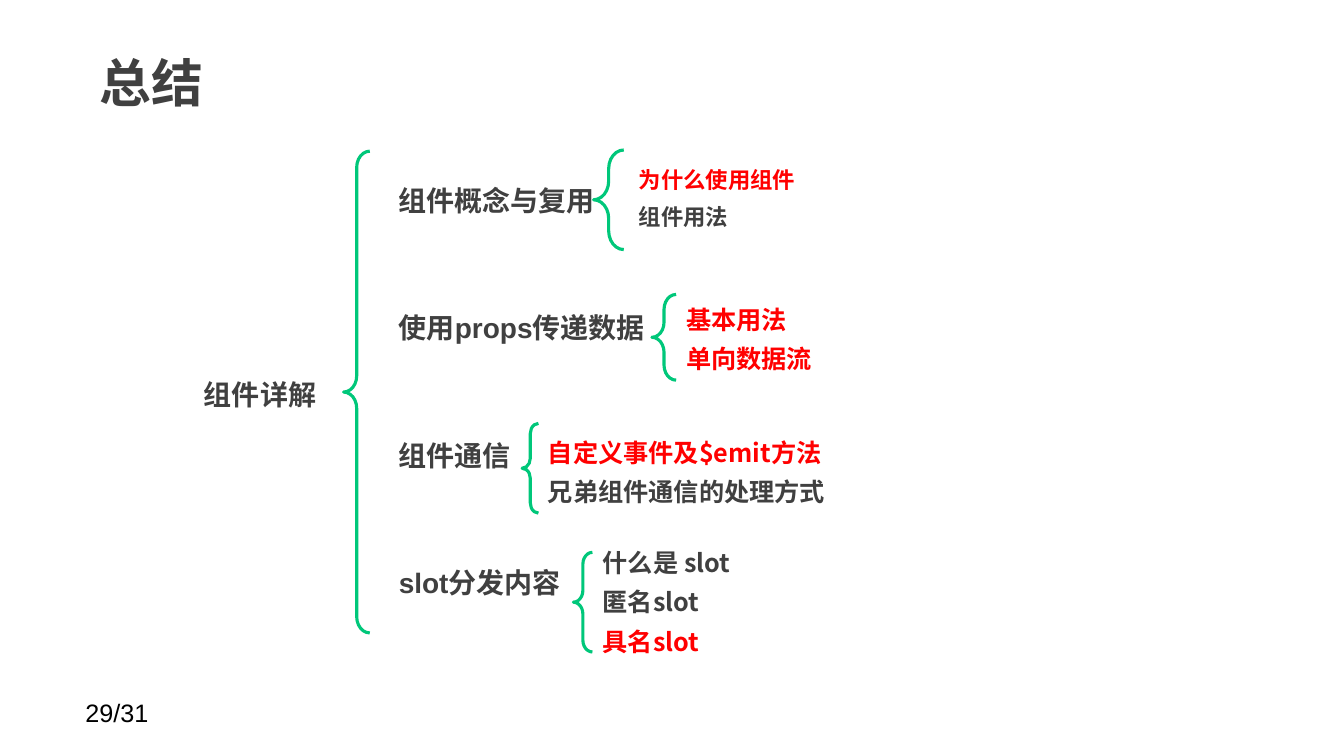
from lxml import etree
from pptx import Presentation
from pptx.dml.color import RGBColor
from pptx.enum import shapes, text
from pptx.oxml import ns
from pptx.util import Cm, Pt

COLOURS = {"grey": "404040", "red": "FF0000", "green": "00C77A", "black": "000000"}
CJK = "Noto Sans CJK SC"

TOPICS = ["组件概念与复用", "使用props传递数据", "组件通信", "slot分发内容"]
BRANCHES = [
    {"brace": (14.96, 3.78, 0.76, 2.51), "box": (15.85, 3.78, 9.25, 2.16),
     "points": [("为什么使用组件", "red"), ("组件用法", "grey")],
     "style": {"size": 16, "font": "Arial", "spacing": 1.4}},
    {"brace": (16.43, 7.42, 0.61, 2.16), "box": (17.04, 7.32, 8.71, 2.26),
     "points": [("基本用法", "red"), ("单向数据流", "red")]},
    {"brace": (13.16, 10.67, 0.41, 2.26), "box": (13.56, 10.67, 10.39, 2.26),
     "points": [("自定义事件及$emit方法", "red"), ("兄弟组件通信的处理方式", "grey")]},
    {"brace": (14.45, 13.92, 0.48, 2.51), "box": (14.94, 13.44, 10.39, 3.25),
     "points": [("什么是 slot", "grey"), ("匿名slot", "grey"), ("具名slot", "red")]},
]


def write(paragraph, words, size=18, font=CJK, colour="grey", bold=True,
          align=text.PP_ALIGN.LEFT, spacing=None, before=0):
    """Write formatted words into a paragraph."""
    paragraph.alignment = align
    paragraph.space_before = Pt(before)
    if spacing:
        paragraph.line_spacing = spacing
    run = paragraph.add_run()
    run.text = words
    run.font.size = Pt(size)
    run.font.bold = bold
    run.font.color.rgb = RGBColor.from_string(COLOURS[colour])
    run.font.name = font
    etree.SubElement(run._r.get_or_add_rPr(), ns.qn("a:ea")).set("typeface", CJK)


def add_lines(slide, box, lines, gap=0, **style):
    """Add a text box holding (words, colour) lines with a gap between them."""
    frame = slide.shapes.add_textbox(*map(Cm, box)).text_frame
    frame.word_wrap = True
    for index, (words, colour) in enumerate(lines):
        paragraph = frame.add_paragraph() if index else frame.paragraphs[0]
        write(paragraph, words, colour=colour, before=gap if index else 0, **style)


def add_brace(slide, box):
    """Add a green left brace filling the box."""
    brace = slide.shapes.add_shape(shapes.MSO_SHAPE.LEFT_BRACE, *map(Cm, box))
    brace.adjustments[0] = 0.62
    brace.adjustments[1] = 0.5
    brace.shadow.inherit = False
    brace.fill.background()
    brace.line.color.rgb = RGBColor.from_string(COLOURS["green"])
    brace.line.width = Pt(2.25)


def add_heading(slide, box, words):
    """Place and format the title placeholder."""
    title = slide.shapes.title
    title.left, title.top, title.width, title.height = map(Cm, box)
    frame = title.text_frame
    frame.vertical_anchor = text.MSO_ANCHOR.MIDDLE
    frame.margin_left = frame.margin_right = Cm(0.33)
    frame.margin_top = frame.margin_bottom = Cm(0.15)
    write(frame.paragraphs[0], words, size=37)


def add_trunk(slide):
    """Add the root subject, its brace and the four topics."""
    add_lines(slide, (4.27, 9.4, 4.57, 1.12), [("组件详解", "grey")],
              size=20, font="Arial", align=text.PP_ALIGN.CENTER)
    add_brace(slide, (8.66, 3.81, 0.66, 12.14))
    add_lines(slide, (9.8, 4.5, 17.73, 12.22), [(topic, "grey") for topic in TOPICS],
              gap=67, size=20, font="Arial")


def add_branch(slide, brace, box, points, style=None):
    """Add a topic's brace and its points."""
    add_brace(slide, brace)
    add_lines(slide, box, points, **(style or {"spacing": 1.3}))


def main():
    """Build and save the summary slide."""
    deck = Presentation()
    deck.slide_width, deck.slide_height = Cm(33.87), Cm(19.05)
    slide = deck.slides.add_slide(deck.slide_layouts[5])
    add_heading(slide, (2.18, 0.76, 26.44, 2.62), "总结")
    add_trunk(slide)
    for branch in BRANCHES:
        add_branch(slide, **branch)
    add_lines(slide, (1.9, 17.45, 5.92, 1.02), [("29/31", "black")],
              font="Arial", bold=False)
    deck.save("out.pptx")


if __name__ == "__main__":
    main()
